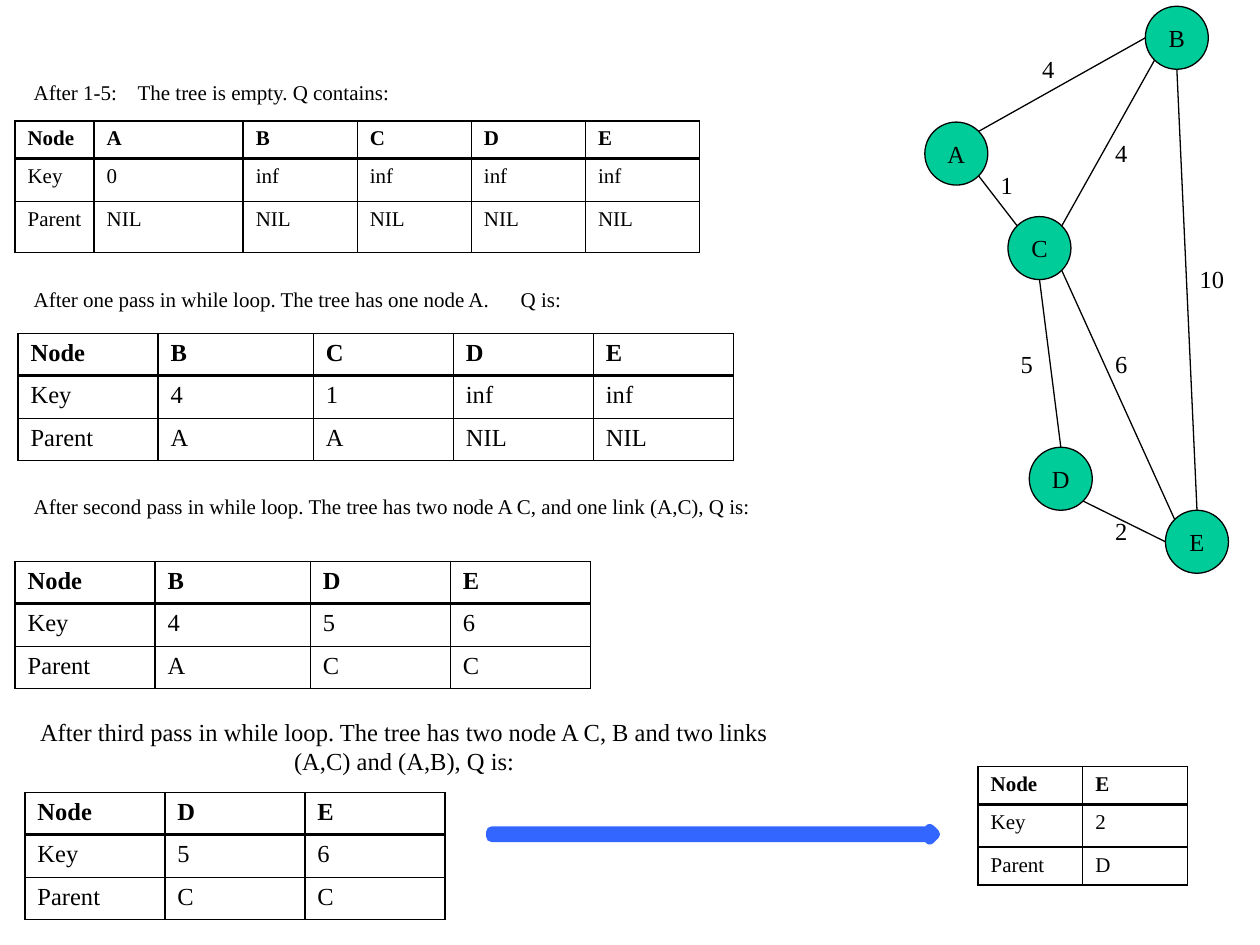
"""Build a slide that traces a spanning tree search over a small graph."""
from dataclasses import dataclass
from math import cos, radians, sin
from typing import Any, NamedTuple

from lxml.etree import SubElement
from pptx import Presentation
from pptx.dml.color import RGBColor
from pptx.enum.shapes import MSO_CONNECTOR, MSO_SHAPE
from pptx.enum.text import MSO_ANCHOR, PP_ALIGN
from pptx.oxml import parse_xml
from pptx.oxml.ns import nsdecls, qn
from pptx.util import Pt


@dataclass(frozen=True)
class Theme:
    font: str = "Times New Roman"
    ink: str = "000000"
    node: str = "00CC99"
    arrow: str = "3366FF"
    small: int = 12
    large: int = 14
    thin: float = 0.75
    cell: int = 1
    head: int = 2
    thick: int = 6


class Node(NamedTuple):
    x: float
    y: float


class Edge(NamedTuple):
    start: str
    out: int
    end: str
    into: int


class Label(NamedTuple):
    text: str
    x: float
    y: float


class Grid(NamedTuple):
    x: float
    y: float
    size: int
    cols: list[float]
    rows: list[float]
    data: list[str]


LOOK = Theme()
SIDE = 36
NODES = {
    "A": Node(528.5, 69.8),
    "B": Node(654.5, 3.6),
    "C": Node(576, 123.8),
    "D": Node(588.2, 255.6),
    "E": Node(666, 291.6),
}
EDGES = [
    Edge("B", 135, "C", -45),
    Edge("C", 45, "E", -135),
    Edge("B", 90, "E", -90),
    Edge("E", 180, "D", 45),
    Edge("C", -135, "A", 45),
    Edge("A", -45, "B", 180),
    Edge("C", 90, "D", -90),
]
LABELS = [
    Label("1", 575.3, 105.5),
    Label("2", 640.8, 303.5),
    Label("5", 586.8, 207.7),
    Label("6", 640.8, 207.7),
    Label("4", 599, 39.3),
    Label("4", 640.8, 87.5),
    Label("10", 692.6, 159.5),
]
NOTES = [
    "After 1-5:\tThe tree is empty. Q contains:",
    "After one pass in while loop. The tree has one node A.\tQ is:",
    "After second pass in while loop. The tree has two node A C, and one link (A,C), Q is:",
]
LAST = ("After third pass in while loop. The tree has two node A C, B "
        "and two links (A,C) and (A,B), Q is:")
STOPS = [59.4, 278.3]
WIDE = [80, 88.8, 80, 80, 80]
ROWS = [24, 24.5, 24]
GRIDS = [
    Grid(8.6, 69.1, LOOK.small, [45.2, 85.2] + [65.2] * 4, [21.2, 24.5, 29.2],
         ["Node A B C D E", "Key 0 inf inf inf inf", "Parent NIL NIL NIL NIL NIL"]),
    Grid(10.3, 190.6, LOOK.large, WIDE, ROWS,
         ["Node B C D E", "Key 4 1 inf inf", "Parent A A NIL NIL"]),
    Grid(8.6, 321, LOOK.large, WIDE[:4], ROWS,
         ["Node B D E", "Key 4 5 6", "Parent A C C"]),
    Grid(14.2, 452.8, LOOK.large, [80] * 3, ROWS,
         ["Node D E", "Key 5 6", "Parent C C"]),
    Grid(558.9, 438, LOOK.small, [59.8] * 2, [21.2, 24.5, 21.2],
         ["Node E", "Key 2", "Parent D"]),
]


def put(item: Any, **vals: Any) -> None:
    for key, val in vals.items():
        setattr(item, key, val)


def write(par: Any, text: str, size: int, bold: bool = False,
          align: Any = PP_ALIGN.LEFT) -> None:
    par.alignment = align
    run = par.add_run()
    run.text = text
    put(run.font, name=LOOK.font, size=Pt(size), bold=bold)
    run.font.color.rgb = RGBColor.from_string(LOOK.ink)


def add_box(page: Any, x: float, y: float, w: float, h: float, **vals: Any) -> Any:
    frame = page.add_textbox(Pt(x), Pt(y), Pt(w), Pt(h)).text_frame
    put(frame, **({"word_wrap": True} | vals))
    return frame


def add_form(page: Any, kind: Any, x: float, y: float, w: float, h: float,
             line: str, width: float) -> Any:
    form = page.add_shape(kind, Pt(x), Pt(y), Pt(w), Pt(h))
    form.shadow.inherit = False
    form.fill.solid()
    form.fill.fore_color.rgb = RGBColor.from_string(LOOK.node)
    form.line.color.rgb = RGBColor.from_string(line)
    form.line.width = Pt(width)
    return form


def add_node(page: Any, name: str, node: Node) -> None:
    form = add_form(page, MSO_SHAPE.OVAL, node.x, node.y, SIDE, SIDE, LOOK.ink, LOOK.thin)
    put(form.text_frame, margin_left=0, margin_right=0, margin_top=0, margin_bottom=0,
        vertical_anchor=MSO_ANCHOR.MIDDLE, word_wrap=False)
    write(form.text_frame.paragraphs[0], name, LOOK.large, align=PP_ALIGN.CENTER)


def rim(name: str, turn: int) -> tuple[Any, Any]:
    node, half = NODES[name], SIDE / 2
    return (Pt(node.x + half + half * cos(radians(turn))),
            Pt(node.y + half + half * sin(radians(turn))))


def add_edge(page: Any, edge: Edge) -> None:
    link = page.add_connector(MSO_CONNECTOR.STRAIGHT, *rim(edge.start, edge.out),
                              *rim(edge.end, edge.into))
    link.line.color.rgb = RGBColor.from_string(LOOK.ink)
    link.line.width = Pt(LOOK.thin)
    SubElement(link._element.spPr, qn("a:effectLst"))


def rule(cell: Any, row: int) -> None:
    props = cell._tc.get_or_add_tcPr()
    sides = {"L": LOOK.cell, "R": LOOK.cell,
             "T": LOOK.head if row == 1 else LOOK.cell,
             "B": LOOK.head if row == 0 else LOOK.cell}
    for spot, (side, width) in enumerate(sides.items()):
        props.insert(spot, parse_xml(
            f'<a:ln{side} {nsdecls("a")} w="{Pt(width)}"><a:solidFill>'
            f'<a:srgbClr val="{LOOK.ink}"/></a:solidFill></a:ln{side}>'))


def add_grid(page: Any, grid: Grid) -> None:
    table = page.add_table(len(grid.rows), len(grid.cols), Pt(grid.x), Pt(grid.y),
                           Pt(sum(grid.cols)), Pt(sum(grid.rows))).table
    put(table, first_row=False, horz_banding=False)
    for col, width in zip(table.columns, grid.cols):
        col.width = Pt(width)
    for row, (high, line) in enumerate(zip(grid.rows, grid.data)):
        table.rows[row].height = Pt(high)
        for col, text in enumerate(line.split()):
            cell = table.cell(row, col)
            cell.fill.background()
            rule(cell, row)
            write(cell.text_frame.paragraphs[0], text, grid.size, row == 0)


def main() -> None:
    deck = Presentation()
    put(deck, slide_width=Pt(720), slide_height=Pt(540))
    page = deck.slides.add_slide(deck.slide_layouts[6]).shapes
    frame = add_box(page, 12.2, 8, 612, 324, margin_top=Pt(37.5))
    for spot, note in enumerate(NOTES):
        par = frame.add_paragraph() if spot else frame.paragraphs[0]
        write(par, note, LOOK.small)
        par.space_before = Pt(104 if spot else 0)
        tabs = SubElement(par._p.get_or_add_pPr(), qn("a:tabLst"))
        for stop in STOPS:
            SubElement(tabs, qn("a:tab"), pos=str(Pt(stop)), algn="l")
    for edge in EDGES:
        add_edge(page, edge)
    for name, node in NODES.items():
        add_node(page, name, node)
    for label in LABELS:
        frame = add_box(page, label.x - 14.4, label.y - 11.9, 28.8, 23.8, word_wrap=False)
        write(frame.paragraphs[0], label.text, LOOK.large, align=PP_ALIGN.CENTER)
    for grid in GRIDS:
        add_grid(page, grid)
    frame = add_box(page, 0, 406, 462, 41)
    write(frame.paragraphs[0], LAST, LOOK.large, align=PP_ALIGN.CENTER)
    add_form(page, MSO_SHAPE.RIGHT_ARROW, 280.8, 473.8, 253.4, 5.8, LOOK.arrow, LOOK.thick)
    deck.save("out.pptx")


main()
